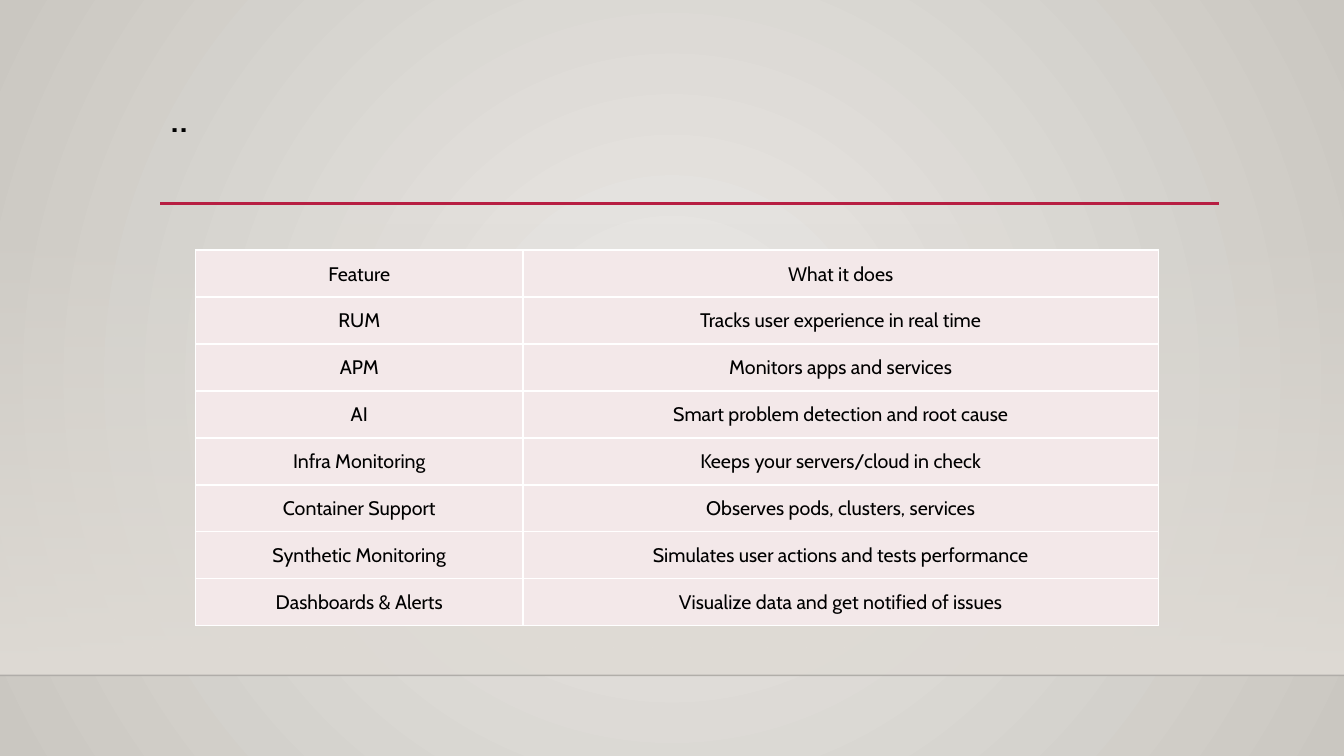
from dataclasses import dataclass

from lxml.etree import SubElement
from pptx import Presentation
from pptx.dml.color import RGBColor
from pptx.enum.shapes import MSO_CONNECTOR, MSO_SHAPE
from pptx.enum.text import MSO_ANCHOR, PP_ALIGN
from pptx.oxml import parse_xml
from pptx.oxml.ns import nsdecls, qn
from pptx.util import Inches, Pt


@dataclass(frozen=True)
class Theme:
    font: str = "Cabin"
    title_size: float = 32
    table_size: float = 14
    ink: str = "000000"
    accent: str = "B71E42"
    cell: str = "F3E8E9"
    border: str = "FFFFFF"
    glow: str = "ECEAE7"
    edge: str = "CAC7C1"
    floor: str = "DFDBD5"
    floor_line: str = "000001"


THEME = Theme()
WIDTH, HEIGHT = 13.33, 7.5
FLOOR_BOX = (0, 2.21, WIDTH, 4.49)
TITLE_BOX = (1.59, 0.88, 10.5, 1.14)
TABLE_BOX = (1.94, 2.48, 9.55, 3.73)
COLUMN_SHARES = (0.34, 0.66)
CELL_INSET = 0.01

FEATURES = [
    ("Feature", "What it does"),
    ("RUM", "Tracks user experience in real time"),
    ("APM", "Monitors apps and services"),
    ("AI", "Smart problem detection and root cause"),
    ("Infra Monitoring", "Keeps your servers/cloud in check"),
    ("Container Support", "Observes pods, clusters, services"),
    ("Synthetic Monitoring", "Simulates user actions and tests performance"),
    ("Dashboards & Alerts", "Visualize data and get notified of issues"),
]

RADIAL = ('<a:path path="circle"><a:fillToRect l="50000" t="50000" '
          'r="50000" b="50000"/></a:path>')
DOWNWARD = '<a:lin ang="5400000" scaled="0"/>'


def apply_gradient(fill, owner, stops, direction):
    fill.solid()
    marks = "".join(
        f'<a:gs pos="{position * 1000}"><a:srgbClr val="{color}">'
        f'<a:alpha val="{opacity * 1000}"/></a:srgbClr></a:gs>'
        for position, color, opacity in stops)
    gradient = parse_xml(
        f'<a:gradFill {nsdecls("a")} rotWithShape="1">'
        f'<a:gsLst>{marks}</a:gsLst>{direction}</a:gradFill>')
    owner.replace(owner.find(qn("a:solidFill")), gradient)


def style_text(frame, size):
    for paragraph in frame.paragraphs:
        for run in paragraph.runs:
            run.font.name = THEME.font
            run.font.size = Pt(size)
            run.font.bold = False
            run.font.color.rgb = RGBColor.from_string(THEME.ink)


def add_rule(slide, left, top, width, color, weight, opacity=100):
    rule = slide.shapes.add_connector(
        MSO_CONNECTOR.STRAIGHT, Inches(left), Inches(top),
        Inches(left + width), Inches(top))
    rule.line.color.rgb = RGBColor.from_string(color)
    rule.line.width = Pt(weight)
    properties = rule.element.spPr
    tint = properties.find(".//" + qn("a:srgbClr"))
    SubElement(tint, qn("a:alpha"), val=str(opacity * 1000))
    SubElement(properties, qn("a:effectLst"))


def add_backdrop(slide, box):
    apply_gradient(slide.background.fill, slide.element.find(".//" + qn("p:bgPr")),
                   [(0, THEME.glow, 100), (100, THEME.edge, 100)], RADIAL)
    left, top, width, height = box
    floor = slide.shapes.add_shape(MSO_SHAPE.RECTANGLE, *map(Inches, box))
    floor.shadow.inherit = False
    floor.line.fill.background()
    apply_gradient(floor.fill, floor.element.spPr,
                   [(0, THEME.floor, 0), (100, THEME.floor, 100)], DOWNWARD)
    add_rule(slide, left, top + height, width, THEME.floor_line, 1, 20)


def add_heading(slide, box, text):
    left, top, width, height = box
    add_rule(slide, left, top + height, width, THEME.accent, 2.5)
    heading = slide.shapes.title
    heading.left, heading.top, heading.width, heading.height = map(Inches, box)
    frame = heading.text_frame
    frame.text = text
    frame.word_wrap = True
    frame.vertical_anchor = MSO_ANCHOR.TOP
    frame.paragraphs[0].alignment = PP_ALIGN.LEFT
    frame.paragraphs[0].line_spacing = 0.9
    style_text(frame, THEME.title_size)


def style_cell(cell):
    properties = cell._tc.get_or_add_tcPr()
    for side in ("lnL", "lnR", "lnT", "lnB"):
        properties.append(parse_xml(
            f'<a:{side} {nsdecls("a")} w="{Pt(1)}"><a:solidFill>'
            f'<a:srgbClr val="{THEME.border}"/></a:solidFill></a:{side}>'))
    cell.fill.solid()
    cell.fill.fore_color.rgb = RGBColor.from_string(THEME.cell)
    cell.vertical_anchor = MSO_ANCHOR.MIDDLE
    cell.margin_left = cell.margin_right = cell.margin_top = Inches(CELL_INSET)
    cell.margin_bottom = 0
    cell.text_frame.paragraphs[0].alignment = PP_ALIGN.CENTER
    style_text(cell.text_frame, THEME.table_size)


def add_feature_table(slide, box, features):
    features_table = slide.shapes.add_table(
        len(features), len(COLUMN_SHARES), *map(Inches, box)).table
    for column, share in zip(features_table.columns, COLUMN_SHARES):
        column.width = Inches(box[2] * share)
    for row, entries in zip(features_table.rows, features):
        for cell, entry in zip(row.cells, entries):
            cell.text_frame.text = entry
            style_cell(cell)


def main():
    deck = Presentation()
    deck.slide_width, deck.slide_height = Inches(WIDTH), Inches(HEIGHT)
    slide = deck.slides.add_slide(deck.slide_layouts.get_by_name("Title Only"))
    add_backdrop(slide, FLOOR_BOX)
    add_heading(slide, TITLE_BOX, "..")
    add_feature_table(slide, TABLE_BOX, FEATURES)
    deck.save("out.pptx")


if __name__ == "__main__":
    main()
